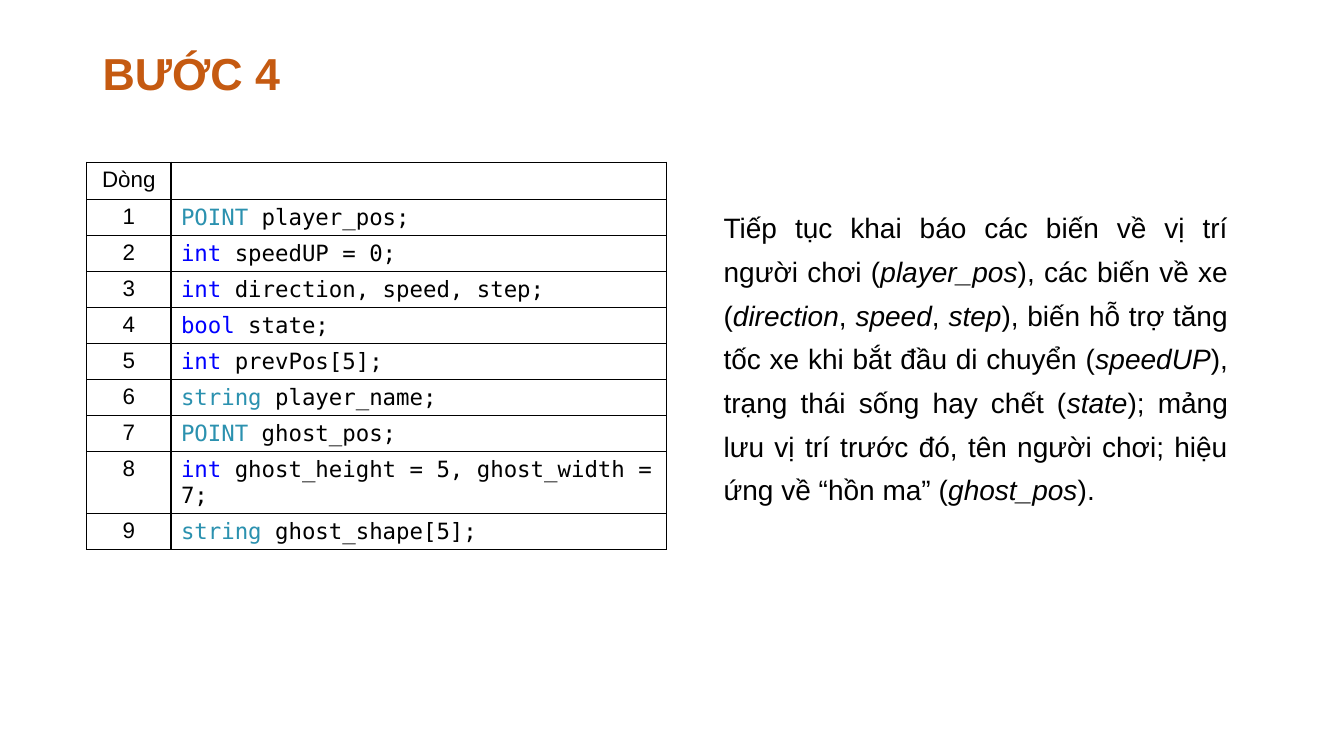
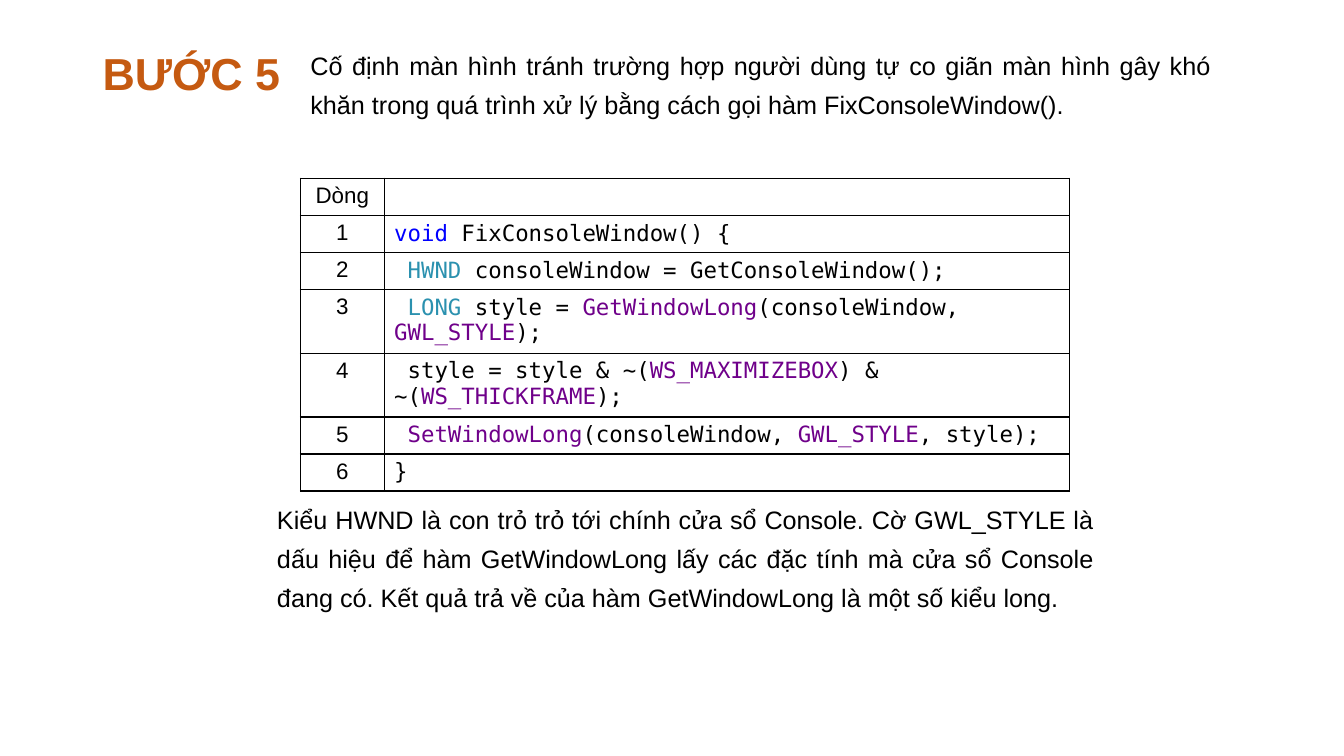
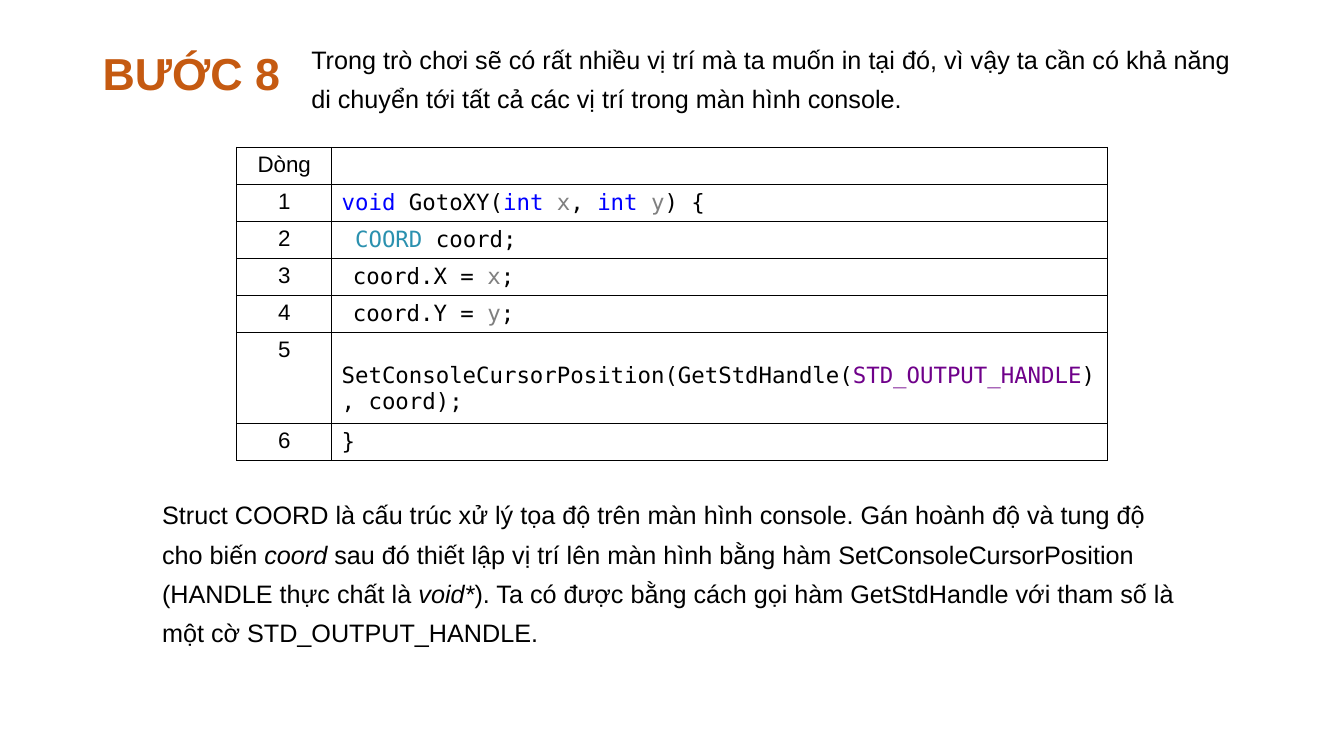
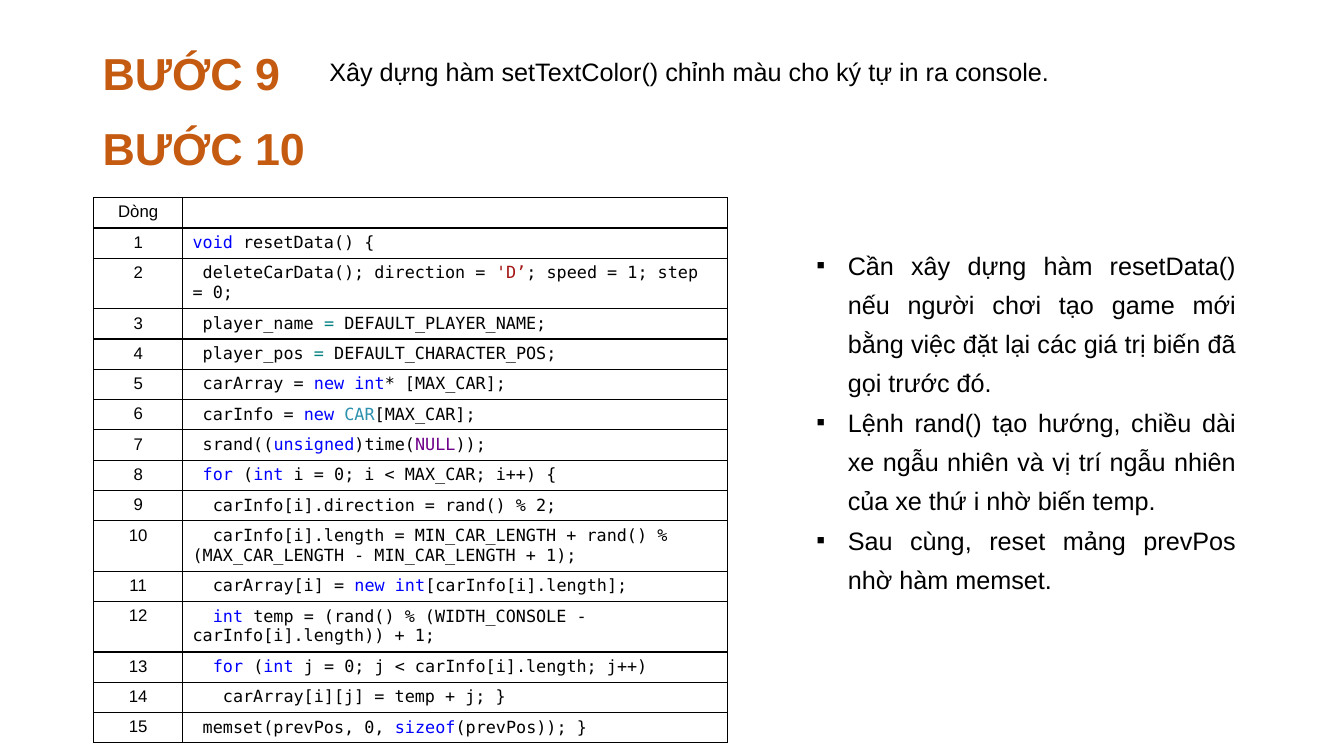
"""Build four slides that explain the steps of a console game, with code tables and notes."""

import dataclasses
import typing

import lxml.etree
import pptx
import pptx.dml.color
import pptx.enum.text
import pptx.oxml.ns
import pptx.util

Pt = pptx.util.Pt
ALIGN = pptx.enum.text.PP_ALIGN

BLACK = "000000"
ACCENT = "C55A11"
KEYWORD = "0000FF"
TYPE = "2B91AF"
MACRO = "6F008A"
PARAMETER = "808080"
OPERATOR = "008080"
LITERAL = "A31515"

TEXT_FONT = "Arial"
CODE_FONT = "DejaVu Sans Mono"
INDENT_FONT = "Times New Roman"
INDENT = "  "
BORDER_WIDTH = 0.96
BULLET_INDENT = 22.5
MARK = "|"

SYNTAX_GROUPS = {
    KEYWORD: ("int", "bool", "void", "new", "new int", "unsigned", "for", "sizeof"),
    TYPE: ("POINT", "string", "HWND", "LONG", "COORD", "CAR"),
    MACRO: (
        "GetWindowLong", "SetWindowLong", "GWL_STYLE", "WS_MAXIMIZEBOX",
        "WS_THICKFRAME", "STD_OUTPUT_HANDLE", "NULL",
    ),
    PARAMETER: ("x", "y"),
    OPERATOR: ("=",),
    LITERAL: ("'D’",),
}
SYNTAX = {word: color for color, words in SYNTAX_GROUPS.items() for word in words}


class Frame(typing.NamedTuple):
    left: float
    top: float
    width: float
    height: float


@dataclasses.dataclass
class Title:
    text: str
    top: float = 28.8
    width: float = 149


@dataclasses.dataclass
class Note:
    frame: Frame
    paragraphs: list[str]
    size: float = 18
    align: typing.Any = ALIGN.JUSTIFY
    line_spacing: float = 1.3
    bullet: str = ""


@dataclasses.dataclass
class Listing:
    left: float
    top: float
    columns: tuple[float, float]
    row_height: float
    lines: list[str]
    tall_rows: dict[int, float] = dataclasses.field(default_factory=dict)
    size: float = 16


@dataclasses.dataclass
class Page:
    titles: list[Title]
    notes: list[Note]
    listing: Listing


PAGES = [
    Page(
        [Title("BƯỚC 4")],
        [Note(
            Frame(509.8, 139.7, 374.4, 255.6),
            ["Tiếp tục khai báo các biến về vị trí người chơi (|player_pos|), các biến về xe "
             "(|direction|, |speed|, |step|), biến hỗ trợ tăng tốc xe khi bắt đầu di chuyển "
             "(|speedUP|), trạng thái sống hay chết (|state|); mảng lưu vị trí trước đó, tên "
             "người chơi; hiệu ứng về “hồn ma” (|ghost_pos|)."],
            size=20,
        )],
        Listing(
            61.9, 115.9, (60.2, 354.2), 25.7,
            [
                "POINT| player_pos;",
                "int| speedUP = 0;",
                "int| direction, speed, step;",
                "bool| state;",
                "int| prevPos[5];",
                "string| player_name;",
                "POINT| ghost_pos;",
                "int| ghost_height = 5, ghost_width = 7;",
                "string| ghost_shape[5];",
            ],
            {0: 26.4, 8: 44.3},
        ),
    ),
    Page(
        [Title("BƯỚC 5")],
        [
            Note(
                Frame(214.6, 25.9, 657.4, 60.5),
                ["Cố định màn hình tránh trường hợp người dùng tự co giãn màn hình gây khó "
                 "khăn trong quá trình xử lý bằng cách gọi hàm FixConsoleWindow()."],
            ),
            Note(
                Frame(190.8, 349.9, 597.6, 117.4),
                ["Kiểu HWND là con trỏ trỏ tới chính cửa sổ Console. Cờ GWL_STYLE là dấu hiệu "
                 "để hàm GetWindowLong lấy các đặc tính mà cửa sổ Console đang có. Kết quả trả "
                 "về của hàm GetWindowLong là một số kiểu long."],
            ),
        ],
        Listing(
            214.6, 127.4, (59.8, 489.6), 26.4,
            [
                "void| FixConsoleWindow() {",
                " HWND| consoleWindow = GetConsoleWindow();",
                " LONG| style = |GetWindowLong|(consoleWindow, |GWL_STYLE|);",
                " style = style & ~(|WS_MAXIMIZEBOX|) & ~(|WS_THICKFRAME|);",
                " SetWindowLong|(consoleWindow, |GWL_STYLE|, style);",
                "}",
            ],
            {3: 45.3, 4: 45.3},
        ),
    ),
    Page(
        [Title("BƯỚC 8")],
        [
            Note(
                Frame(215.3, 21.6, 679, 60.5),
                ["Trong trò chơi sẽ có rất nhiều vị trí mà ta muốn in tại đó, vì vậy ta cần có "
                 "khả năng di chuyển tới tất cả các vị trí trong màn hình console."],
                align=ALIGN.LEFT,
            ),
            Note(
                Frame(108.7, 347, 742.3, 117.4),
                ["Struct COORD là cấu trúc xử lý tọa độ trên màn hình console. Gán hoành độ và "
                 "tung độ cho biến |coord| sau đó thiết lập vị trí lên màn hình bằng hàm "
                 "SetConsoleCursorPosition (HANDLE thực chất là |void*|). Ta có được bằng cách "
                 "gọi hàm GetStdHandle với tham số là một cờ STD_OUTPUT_HANDLE."],
                align=ALIGN.LEFT,
            ),
        ],
        Listing(
            169.2, 105.3, (67.7, 554.4), 26.4,
            [
                "void| GotoXY(|int |x|, |int |y|) {",
                " COORD| coord;",
                "  |coord.X = |x|;",
                "  |coord.Y = |y|;",
                " SetConsoleCursorPosition(GetStdHandle(|STD_OUTPUT_HANDLE|), coord);",
                "}",
            ],
            {5: 65},
        ),
    ),
    Page(
        [Title("BƯỚC 9"), Title("BƯỚC 10", top=82.8, width=162.7)],
        [
            Note(
                Frame(228.2, 36.7, 578.2, 28.8),
                ["Xây dựng hàm setTextColor() chỉnh màu cho ký tự in ra console."],
                line_spacing=1,
            ),
            Note(
                Frame(576, 168.5, 313.9, 287.3),
                [
                    "Cần xây dựng hàm resetData() nếu người chơi tạo game mới bằng việc đặt lại "
                    "các giá trị biến đã gọi trước đó.",
                    "Lệnh rand() tạo hướng, chiều dài xe ngẫu nhiên và vị trí ngẫu nhiên của xe "
                    "thứ i nhờ biến temp.",
                    "Sau cùng, reset mảng prevPos nhờ hàm memset.",
                ],
                bullet="▪",
            ),
        ],
        Listing(
            67, 141.2, (63.4, 389.5), 21.6,
            [
                "void| resetData() {",
                " deleteCarData(); direction = |'D’|; speed = 1; step = 0;",
                " player_name |=| DEFAULT_PLAYER_NAME;",
                " player_pos |=| DEFAULT_CHARACTER_POS;",
                " carArray = |new int|* [MAX_CAR];",
                " carInfo = |new |CAR|[MAX_CAR];",
                " srand((|unsigned|)time(|NULL|));",
                " for| (|int| i = 0; i < MAX_CAR; i++) {",
                "  carInfo[i].direction = rand() % 2;",
                "  carInfo[i].length = MIN_CAR_LENGTH + rand() % "
                "(MAX_CAR_LENGTH - MIN_CAR_LENGTH + 1);",
                "  carArray[i] = |new int|[carInfo[i].length];",
                "  int| temp = (rand() % (WIDTH_CONSOLE - carInfo[i].length)) + 1;",
                "  for| (|int| j = 0; j < carInfo[i].length; j++)",
                "   carArray[i][j] = temp + j; }",
                " memset(prevPos, 0, |sizeof|(prevPos)); }",
            ],
            {2: 36.1, 10: 36.1, 12: 36.1},
            size=12,
        ),
    ),
]


def set_color(color_format, value: str) -> None:
    color_format.rgb = pptx.dml.color.RGBColor.from_string(value)


def add_element(parent, tag: str, **attributes: str):
    return lxml.etree.SubElement(parent, pptx.oxml.ns.qn(tag), attributes)


def add_span(para, text: str, size: float, color: str = BLACK, **formats) -> None:
    span = para.add_run()
    span.text = text
    for name, value in {"name": TEXT_FONT, "size": Pt(size), **formats}.items():
        setattr(span.font, name, value)
    set_color(span.font.color, color)


def add_box(page, frame: Frame):
    box = page.shapes.add_textbox(*map(Pt, frame))
    box.text_frame.word_wrap = True
    box.text_frame.auto_size = pptx.enum.text.MSO_AUTO_SIZE.SHAPE_TO_FIT_TEXT
    return box.text_frame


def add_bullet(para, bullet: str) -> None:
    properties = para._p.get_or_add_pPr()
    indent = int(Pt(BULLET_INDENT))
    properties.set("marL", str(indent))
    properties.set("indent", str(-indent))
    add_element(properties, "a:buFont", typeface=TEXT_FONT)
    add_element(properties, "a:buChar", char=bullet)


def draw_title(page, title: Title) -> None:
    text_frame = add_box(page, Frame(66.2, title.top, title.width, 46))
    add_span(text_frame.paragraphs[0], title.text, 32, ACCENT, bold=True)


def draw_note(page, note: Note) -> None:
    text_frame = add_box(page, note.frame)
    for index, text in enumerate(note.paragraphs):
        para = text_frame.add_paragraph() if index else text_frame.paragraphs[0]
        para.alignment = note.align
        para.line_spacing = note.line_spacing
        if note.bullet:
            add_bullet(para, note.bullet)
        for position, part in enumerate(text.split(MARK)):
            add_span(para, part, note.size, italic=position % 2 == 1)


def style_cell(cell) -> None:
    properties = cell._tc.get_or_add_tcPr()
    for side in ("a:lnL", "a:lnR", "a:lnT", "a:lnB"):
        line = add_element(properties, side, w=str(int(Pt(BORDER_WIDTH))))
        add_element(add_element(line, "a:solidFill"), "a:srgbClr", val=BLACK)
    cell.fill.background()


def draw_listing(page, listing: Listing) -> None:
    count = len(listing.lines) + 1
    heights = [listing.tall_rows.get(row, listing.row_height) for row in range(count)]
    frame = Frame(listing.left, listing.top, sum(listing.columns), sum(heights))
    table = page.shapes.add_table(count, 2, *map(Pt, frame)).table
    table.first_row = table.horz_banding = False
    for column, width in zip(table.columns, listing.columns):
        column.width = Pt(width)
    for row, height in zip(table.rows, heights):
        row.height = Pt(height)
    for cell in table.iter_cells():
        style_cell(cell)

    for row, line in enumerate(["", *listing.lines]):
        label, code = (table.cell(row, column).text_frame.paragraphs[0] for column in (0, 1))
        label.alignment = ALIGN.CENTER
        add_span(label, str(row) if row else "Dòng", listing.size)
        if not line:
            add_element(code._p, "a:endParaRPr", sz=str(int(listing.size * 100)))
            continue
        for part in line.split(MARK):
            font = INDENT_FONT if part == INDENT else CODE_FONT
            add_span(code, part, listing.size, SYNTAX.get(part.strip(), BLACK), name=font)


def main() -> None:
    deck = pptx.Presentation()
    deck.slide_width, deck.slide_height = Pt(960), Pt(540)
    for content in PAGES:
        page = deck.slides.add_slide(deck.slide_layouts[6])
        draw_listing(page, content.listing)
        for note in content.notes:
            draw_note(page, note)
        for title in content.titles:
            draw_title(page, title)
    deck.save("out.pptx")


if __name__ == "__main__":
    main()
